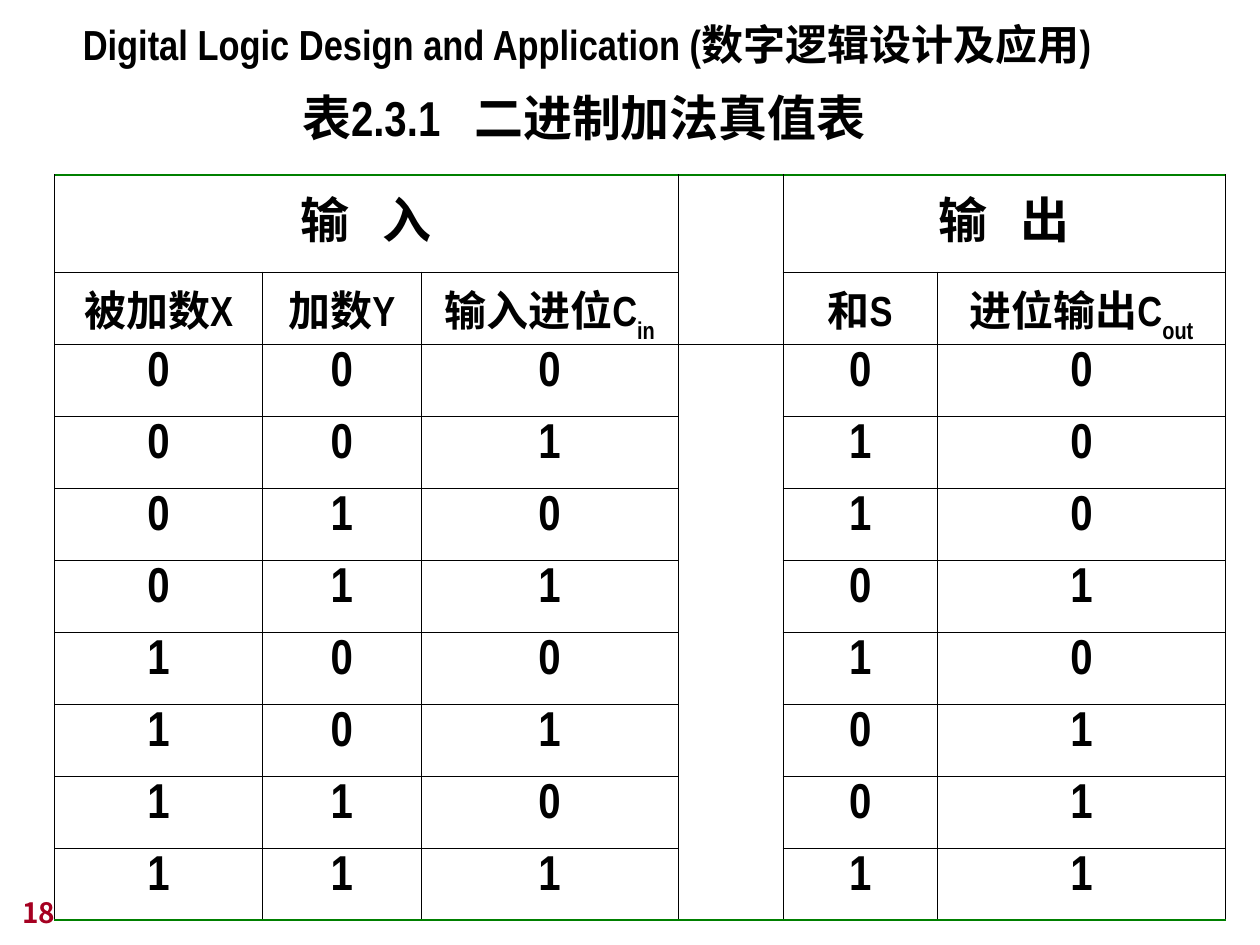
import pptx
import pptx.dml.color
import pptx.enum.text
import pptx.oxml.ns
import pptx.util
from lxml import etree

Cm = pptx.util.Cm
Pt = pptx.util.Pt
ALIGN = pptx.enum.text.PP_ALIGN
ANCHOR = pptx.enum.text.MSO_ANCHOR

CHINESE = "Times New Roman"
LATIN = "Arial Narrow"
FALLBACK = "Noto Sans CJK JP"
BLACK, GREEN, RED = "000000", "008000", "A50021"

COURSE = [("Digital Logic Design and Application (数字逻辑设计及应用)", LATIN, {})]
CAPTION = [
    ("表", CHINESE, {}),
    ("2.3.1", LATIN, {}),
    (" ", LATIN, {"spc": "1300"}),
    ("二进制加法真值表", CHINESE, {}),
]
PAGE_NUMBER = [("18", FALLBACK, {})]

WIDE_SPACE = (" ", CHINESE, {"spc": "1250"})
GROUPS = {
    0: [("输", CHINESE, {}), WIDE_SPACE, ("入", CHINESE, {})],
    4: [("输", CHINESE, {}), WIDE_SPACE, ("出", CHINESE, {})],
}
HEADINGS = {
    0: ("被加数", "X", ""),
    1: ("加数", "Y", ""),
    2: ("输入进位", "C", "in"),
    4: ("和", "S", ""),
    5: ("进位输出", "C", "out"),
}
HEADING_ROW = 1
COLUMN_WIDTHS = [4.19, 3.2, 5.18, 2.11, 3.12, 5.8]
ROW_HEIGHTS = [1.95] + [1.45] * 9
MERGES = [((0, 0), (0, 2)), ((0, 3), (1, 3)), ((0, 4), (0, 5)), ((2, 3), (9, 3))]


def color(value):
    return pptx.dml.color.RGBColor.from_string(value)


def write(frame, spans, size, align=ALIGN.LEFT, ink=BLACK):
    para = frame.paragraphs[0]
    para.alignment = align
    for text, font, extras in spans:
        span = para.add_run()
        span.text = text
        for name, value in {"name": font, "size": Pt(size), "bold": True}.items():
            setattr(span.font, name, value)
        span.font.color.rgb = color(ink)
        properties = span.font._element
        for name, value in extras.items():
            properties.set(name, value)
        latin = properties.find(pptx.oxml.ns.qn("a:latin"))
        east_asian = etree.Element(pptx.oxml.ns.qn("a:ea"), typeface=FALLBACK)
        latin.addnext(east_asian)


def place(box, left, top, width, height, anchor, wrap):
    position = {"left": left, "top": top, "width": width, "height": height}
    for name, value in position.items():
        setattr(box, name, Cm(value))
    settings = {
        "auto_size": pptx.enum.text.MSO_AUTO_SIZE.NONE,
        "vertical_anchor": anchor,
        "word_wrap": wrap,
    }
    for name, value in settings.items():
        setattr(box.text_frame, name, value)
    return box.text_frame


def draw_border(cell, side, ink, width):
    line = etree.SubElement(
        cell._tc.get_or_add_tcPr(), pptx.oxml.ns.qn(f"a:ln{side}"), w=str(Pt(width))
    )
    fill = etree.SubElement(line, pptx.oxml.ns.qn("a:solidFill"))
    etree.SubElement(fill, pptx.oxml.ns.qn("a:srgbClr"), val=ink)


def cell_spans():
    contents = {(0, column): (spans, 28) for column, spans in GROUPS.items()}
    for column, (name, symbol, subscript) in HEADINGS.items():
        spans = [(name, CHINESE, {}), (symbol, LATIN, {})]
        if subscript:
            spans.append((subscript, LATIN, {"baseline": "-30000"}))
        contents[HEADING_ROW, column] = (spans, 24)
    for number in range(8):
        x, y, carry_in = number >> 2, number >> 1 & 1, number & 1
        total = x + y + carry_in
        bits = {0: x, 1: y, 2: carry_in, 4: total % 2, 5: total // 2}
        for column, bit in bits.items():
            contents[number + 2, column] = ([(str(bit), LATIN, {})], 28)
    return contents


def add_truth_table(page):
    row_count, column_count = len(ROW_HEIGHTS), len(COLUMN_WIDTHS)
    table = page.shapes.add_table(
        row_count, column_count, Cm(1.1), Cm(3.53),
        Cm(sum(COLUMN_WIDTHS)), Cm(sum(ROW_HEIGHTS)),
    ).table
    table.first_row = False
    table.horz_banding = False
    for column, width in zip(table.columns, COLUMN_WIDTHS):
        column.width = Cm(width)
    for row, height in zip(table.rows, ROW_HEIGHTS):
        row.height = Cm(height)
    for start, end in MERGES:
        table.cell(*start).merge(table.cell(*end))

    contents = cell_spans()
    for row in range(row_count):
        for column in range(column_count):
            cell = table.cell(row, column)
            last_row = row + (cell.span_height if cell.is_merge_origin else 1)
            outer = {"T": row == 0, "B": last_row == row_count}
            for side in "LRTB":
                ink, width = (GREEN, 0.96) if outer.get(side) else (BLACK, 0.34)
                draw_border(cell, side, ink, width)
            cell.fill.background()
            if row == HEADING_ROW:
                cell.margin_bottom = Cm(0)
            if (row, column) in contents:
                spans, size = contents[row, column]
                write(cell.text_frame, spans, size, ALIGN.CENTER)


def main():
    deck = pptx.Presentation()
    deck.slide_width, deck.slide_height = Cm(25.4), Cm(19.05)
    page = deck.slides.add_slide(deck.slide_layouts[5])

    course = page.shapes.add_textbox(0, 0, 0, 0)
    write(place(course, 1.42, 0.25, 21.26, 1.27, ANCHOR.TOP, False), COURSE, 24)
    caption = place(page.shapes.title, 5.01, 1.63, 13.52, 1.45, ANCHOR.MIDDLE, False)
    write(caption, CAPTION, 28, ALIGN.CENTER)
    add_truth_table(page)
    number = page.shapes.add_textbox(0, 0, 0, 0)
    frame = place(number, 0.2, 17.58, 5.28, 1.27, ANCHOR.BOTTOM, True)
    write(frame, PAGE_NUMBER, 16, ink=RED)

    deck.save("out.pptx")


if __name__ == "__main__":
    main()
